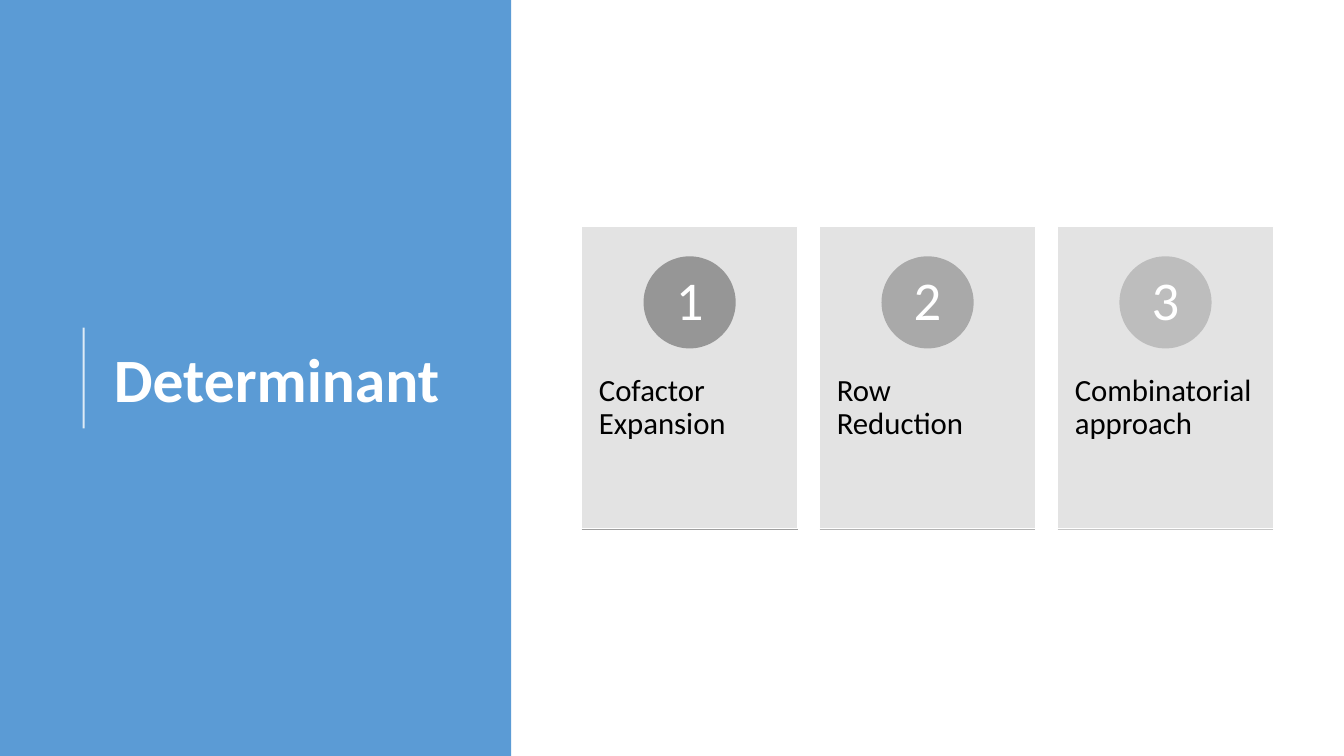
from lxml.etree import SubElement
from pptx import Presentation
from pptx.dml.color import RGBColor
from pptx.enum.shapes import MSO_CONNECTOR, MSO_SHAPE
from pptx.enum.text import MSO_ANCHOR, PP_ALIGN
from pptx.oxml.ns import qn
from pptx.util import Inches, Pt

METHODS = [
    ("Cofactor Expansion", "969696", "9F9F9F"),
    ("Row Reduction", "A9A9A9", "B3B3B3"),
    ("Combinatorial approach", "BDBDBD", "C6C6C6"),
]


def rgb(color):
    """Turn a hex string into a colour."""
    return RGBColor.from_string(color)


def set_opacity(fill, percent):
    """Make a solid fill partly transparent."""
    color = fill._xPr.find(qn("a:solidFill"))[0]
    SubElement(color, qn("a:alpha"), val=str(percent * 1000))


def add_block(slide, kind, left, top, width, height, fill, outline=None):
    """Add a filled shape without a shadow."""
    block = slide.shapes.add_shape(kind, Inches(left), Inches(top), Inches(width), Inches(height))
    block.shadow.inherit = False
    block.fill.solid()
    block.fill.fore_color.rgb = rgb(fill)
    if outline:
        block.line.color.rgb = rgb(outline)
        block.line.width = Pt(1)
    else:
        block.line.fill.background()
    return block


def add_rule(slide, start, end, color, weight, opacity=100):
    """Draw a straight line between two points."""
    rule = slide.shapes.add_connector(MSO_CONNECTOR.STRAIGHT, *map(Inches, start + end))
    rule.line.color.rgb = rgb(color)
    rule.line.width = Pt(weight)
    set_opacity(rule.line.fill, opacity)
    SubElement(rule._element.spPr, qn("a:effectLst"))


def write(shape, text, size, color, insets, anchor=MSO_ANCHOR.TOP, align=PP_ALIGN.LEFT, bold=False):
    """Fill a shape's text frame with one formatted run."""
    frame = shape.text_frame
    frame.word_wrap = True
    frame.vertical_anchor = anchor
    frame.margin_left = frame.margin_right = Inches(insets[0])
    frame.margin_top = frame.margin_bottom = Inches(insets[1])
    paragraph = frame.paragraphs[0]
    paragraph.alignment = align
    paragraph.line_spacing = 0.9
    run = paragraph.add_run()
    run.text = text
    run.font.name = "Calibri"
    run.font.size = Pt(size)
    run.font.bold = bold
    run.font.color.rgb = rgb(color)


def add_text_box(slide, left, top, width, height):
    """Add an empty text box."""
    return slide.shapes.add_textbox(Inches(left), Inches(top), Inches(width), Inches(height))


def add_title_panel(slide, left, top, width, height):
    """Place the blue panel with its accent line and title."""
    add_block(slide, MSO_SHAPE.RECTANGLE, left, top, width, height, "5B9BD5")
    middle = top + height / 2
    accent_x = left + 0.83
    add_rule(slide, (accent_x, middle + 0.5), (accent_x, middle - 0.5), "FFFFFF", 1.5, 80)
    title = add_text_box(slide, left + 1.03, top + 0.78, 3.69, 6.02)
    write(title, "Determinant", 44, "FFFFFF", (0.1, 0.05), MSO_ANCHOR.MIDDLE, bold=True)


def add_method_card(slide, left, top, width, height, number, method, badge_color, base_color):
    """Place one numbered card with its caption and base line."""
    card = add_block(slide, MSO_SHAPE.RECTANGLE, left, top, width, height, "E1E1E1", "FFFFFF")
    set_opacity(card.fill, 90)
    caption = add_text_box(slide, left, top + 1.14, width, 1.8)
    write(caption, method, 22, "000000", (0.17, 0.36))
    diameter = 0.9
    badge = add_block(slide, MSO_SHAPE.OVAL, left + (width - diameter) / 2, top + 0.3,
                      diameter, diameter, badge_color, badge_color)
    write(badge, str(number), 39, "FFFFFF", (0.07, 0.01), MSO_ANCHOR.MIDDLE, PP_ALIGN.CENTER)
    bottom = top + height
    add_rule(slide, (left, bottom), (left + width, bottom), base_color, 1)


def add_method_row(slide, left, top, width, height):
    """Spread the method cards evenly across the row."""
    card_width = 2.14
    pitch = (width - card_width) / (len(METHODS) - 1)
    for index, (method, badge_color, base_color) in enumerate(METHODS):
        add_method_card(slide, left + index * pitch, top, card_width, height,
                        index + 1, method, badge_color, base_color)


def main():
    """Build and save the slide."""
    deck = Presentation()
    deck.slide_width, deck.slide_height = Inches(13.33), Inches(7.5)
    slide = deck.slides.add_slide(deck.slide_layouts[6])
    add_title_panel(slide, 0, 0, 5.07, 7.5)
    add_method_row(slide, 5.77, 2.25, 6.86, 3)
    deck.save("out.pptx")


if __name__ == "__main__":
    main()
